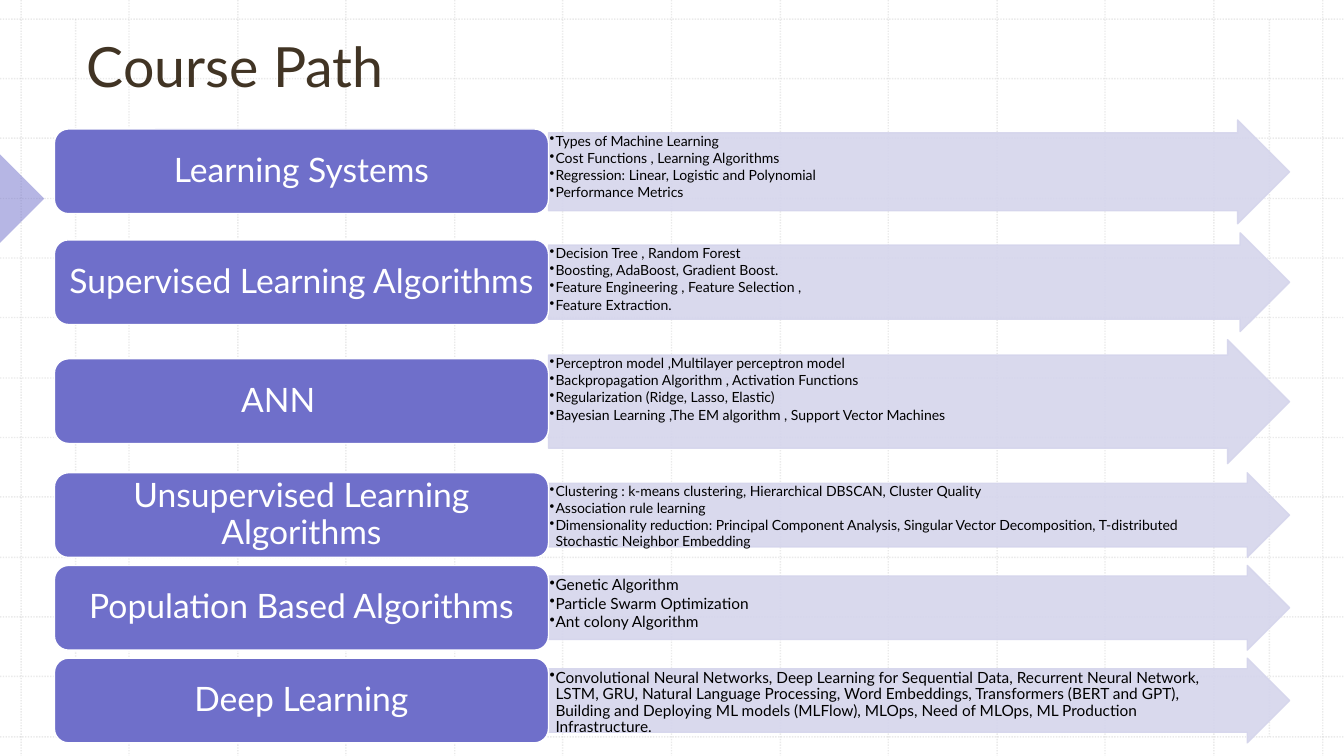
from dataclasses import dataclass
from lxml import etree
from pptx import Presentation
from pptx import util as u
from pptx.dml.color import RGBColor
from pptx.enum import dml, shapes, text
from pptx.oxml import ns

PX = 9144
WIDE, HIGH = 1333, 750
FONT = "Lato"
HUES = {
    "grid": "BCBCBC",
    "title": "413424",
    "label": "6F6FCA",
    "arrow": "D5D5EC",
    "white": "FFFFFF",
    "black": "000000",
}


@dataclass
class Topic:
    name: str
    top: int
    high: int
    size: int
    items: list[str]
    tail: int = 5


TOPICS = [
    Topic("Learning Systems", 119, 103, 10, [
        "Types of Machine Learning",
        "Cost Functions , Learning Algorithms",
        "Regression: Linear, Logistic and Polynomial",
        "Performance Metrics",
    ]),
    Topic("Supervised Learning Algorithms", 231, 98, 10, [
        "Decision Tree , Random Forest",
        "Boosting, AdaBoost, Gradient Boost.",
        "Feature Engineering , Feature Selection ,",
        "Feature Extraction.",
    ]),
    Topic("ANN", 337, 123, 10, [
        "Perceptron model ,Multilayer perceptron model",
        "Backpropagation Algorithm , Activation Functions",
        "Regularization (Ridge, Lasso, Elastic)",
        "Bayesian Learning ,The EM algorithm , Support Vector Machines",
    ], tail=51),
    Topic("Unsupervised Learning Algorithms", 469, 84, 10, [
        "Clustering : k-means clustering, Hierarchical DBSCAN, Cluster Quality",
        "Association rule learning",
        "Dimensionality reduction: Principal Component Analysis, Singular Vector "
        "Decomposition, T-distributed Stochastic Neighbor Embedding",
    ]),
    Topic("Population Based Algorithms", 561, 84, 11, [
        "Genetic Algorithm",
        "Particle Swarm Optimization",
        "Ant colony Algorithm",
    ]),
    Topic("Deep Learning", 653, 84, 11, [
        "Convolutional Neural Networks, Deep Learning for Sequential Data, "
        "Recurrent Neural Network, LSTM, GRU, Natural Language Processing, "
        "Word Embeddings, Transformers (BERT and GPT), Building and Deploying "
        "ML models (MLFlow), MLOps, Need of MLOps, ML Production Infrastructure.",
    ]),
]


def px(*nums: int) -> list[int]:
    return [n * PX for n in nums]


def hue(name: str) -> RGBColor:
    return RGBColor.from_string(HUES[name])


def fade(part, pct: int) -> None:
    for node in part.iter(ns.qn("a:srgbClr")):
        etree.SubElement(node, ns.qn("a:alpha"), val=str(pct * 1000))


def paint(shape, fill: str, edge: str | None) -> None:
    shape.shadow.inherit = False
    shape.fill.solid()
    shape.fill.fore_color.rgb = hue(fill)
    if edge:
        shape.line.color.rgb = hue(edge)
        shape.line.width = u.Pt(1)
    else:
        shape.line.fill.background()


def style(para, size: float, color: str) -> None:
    for run in para.runs:
        run.font.name = FONT
        run.font.size = u.Pt(size)
        run.font.color.rgb = hue(color)


def inset(frame, left: int, top: int, right: int, base: int) -> None:
    frame.word_wrap = True
    (frame.margin_left, frame.margin_top,
     frame.margin_right, frame.margin_bottom) = px(left, top, right, base)


def rule(slide, x1: int, y1: int, x2: int, y2: int) -> None:
    line = slide.shapes.add_connector(
        shapes.MSO_CONNECTOR.STRAIGHT, *px(x1, y1, x2, y2))
    line.line.color.rgb = hue("grid")
    line.line.width = u.Pt(1)
    line.line.dash_style = dml.MSO_LINE.ROUND_DOT
    props = line.element.spPr
    fade(props, 30)
    etree.SubElement(props, ns.qn("a:effectLst"))


def grid(slide) -> None:
    for i in range(13):
        x = 21 + 1291 * i // 12
        y = 19 + 712 * i // 12
        rule(slide, x, 0, x, HIGH)
        rule(slide, 0, y, WIDE, y)
    for x in (75, 1259):
        rule(slide, x, 19, x, 731)


def mark(slide) -> None:
    wedge = slide.shapes.add_shape(
        shapes.MSO_SHAPE.RIGHT_TRIANGLE, *px(-31, 166, 62, 62))
    wedge.rotation = 225
    paint(wedge, "label", None)
    fade(wedge.element.spPr, 50)


def head(slide) -> None:
    title = slide.shapes.title
    slide.shapes.element.append(title.element)
    title.left, title.top, title.width, title.height = px(76, 23, 1129, 81)
    frame = title.text_frame
    frame.text = "Course Path"
    frame.auto_size = text.MSO_AUTO_SIZE.NONE
    frame.vertical_anchor = text.MSO_ANCHOR.BOTTOM
    para = frame.paragraphs[0]
    para.alignment = text.PP_ALIGN.LEFT
    para.line_spacing = 0.9
    style(para, 39.6, "title")


def bullet(para) -> None:
    props = para._p.get_or_add_pPr()
    props.set("marL", str(6 * PX))
    props.set("indent", str(-6 * PX))
    etree.SubElement(props, ns.qn("a:buChar"), char="•")
    para.alignment = text.PP_ALIGN.LEFT
    para.line_spacing = 0.9
    para.space_after = u.Pt(1.5)


def arrow(slide, topic: Topic) -> None:
    shape = slide.shapes.add_shape(
        shapes.MSO_SHAPE.RIGHT_ARROW, *px(544, topic.top, 735, topic.high))
    shape.adjustments[0] = 0.75
    shape.adjustments[1] = 0.5
    paint(shape, "arrow", "arrow")
    fade(shape.element.spPr, 90)
    frame = shape.text_frame
    inset(frame, 1, 1, topic.high // 4 + 1, 1)
    frame.vertical_anchor = text.MSO_ANCHOR.TOP
    frame.text = "\n".join(topic.items)
    for para in frame.paragraphs:
        bullet(para)
        style(para, topic.size, "black")


def label(slide, topic: Topic) -> None:
    top = topic.top + topic.high // 2 - 42
    shape = slide.shapes.add_shape(
        shapes.MSO_SHAPE.ROUNDED_RECTANGLE, *px(54, top, 490, 84))
    paint(shape, "label", "white")
    frame = shape.text_frame
    inset(frame, 5, 0, topic.tail, 0)
    frame.vertical_anchor = text.MSO_ANCHOR.MIDDLE
    frame.text = topic.name
    para = frame.paragraphs[0]
    para.alignment = text.PP_ALIGN.CENTER
    para.line_spacing = 0.9
    style(para, 24, "white")


def main() -> None:
    deck = Presentation()
    deck.slide_width, deck.slide_height = px(WIDE, HIGH)
    slide = deck.slides.add_slide(deck.slide_layouts[5])
    grid(slide)
    mark(slide)
    head(slide)
    for topic in TOPICS:
        arrow(slide, topic)
        label(slide, topic)
    deck.save("out.pptx")


if __name__ == "__main__":
    main()
